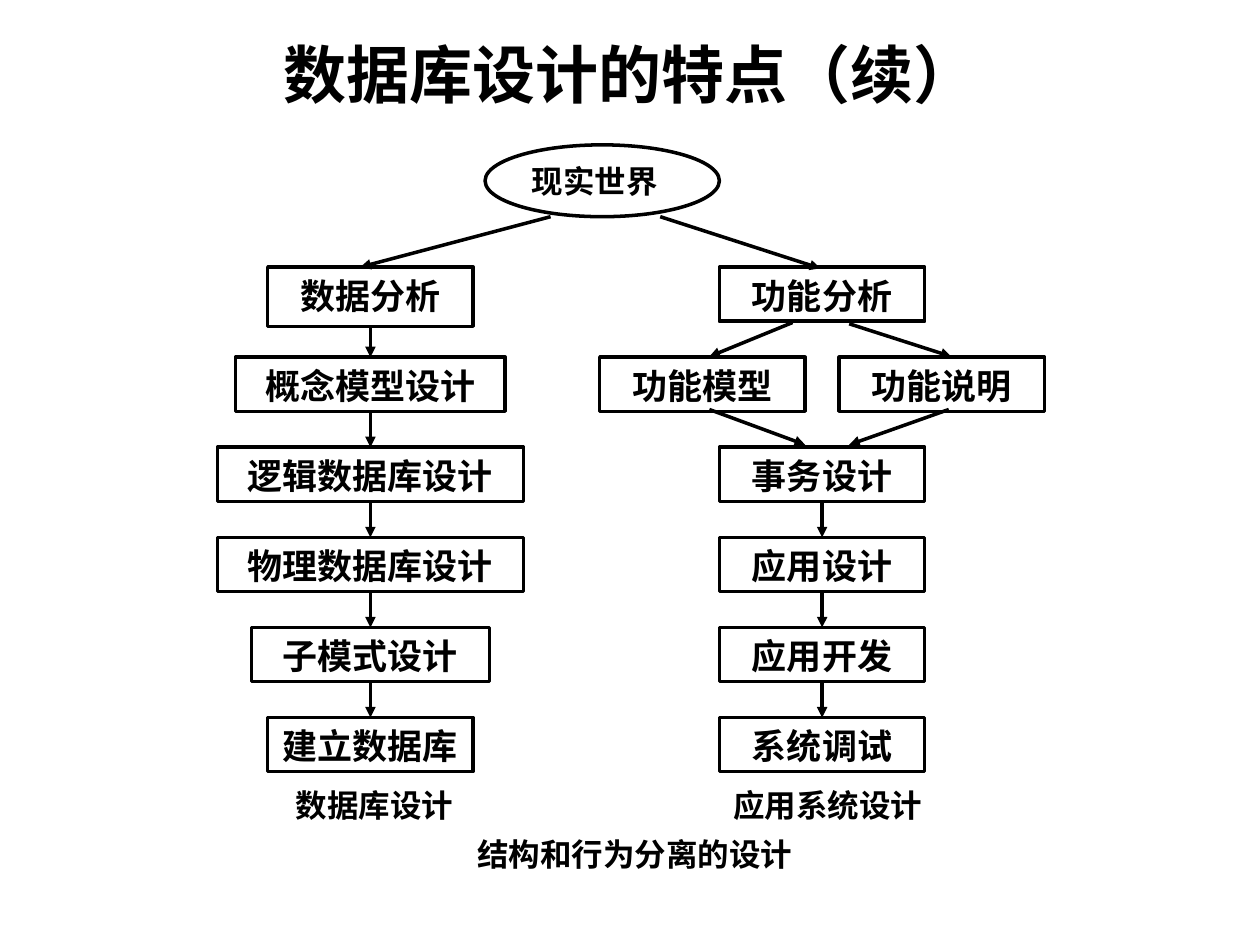
from dataclasses import dataclass
from itertools import pairwise

from lxml import etree
from pptx import Presentation
from pptx import util as u
from pptx.dml.color import RGBColor
from pptx.enum import shapes, text
from pptx.oxml import ns


@dataclass(frozen=True)
class Theme:
    ink: RGBColor = RGBColor(0, 0, 0)
    paper: RGBColor = RGBColor(255, 255, 255)
    sans: str = "Arial"
    serif: str = "Times New Roman"
    title_size: int = 36
    step_size: int = 20
    label_size: int = 18
    stroke: float = 2


@dataclass(frozen=True)
class Step:
    label: str
    axis: float
    row: int
    width: float = 16.3
    height: float = 4.3


@dataclass(frozen=True)
class Caption:
    label: str
    left: float
    top: float
    width: float
    font: str
    anchor: text.MSO_ANCHOR = text.MSO_ANCHOR.TOP


@dataclass(frozen=True)
class Arrow:
    start: tuple[float, float]
    end: tuple[float, float]


THEME = Theme()
COLUMNS, ROWS = 100, 75
CELL = u.Inches(0.1)
FIRST_STEP, STEP_PITCH = 21.2, 7.15
DATA_AXIS, FUNCTION_AXIS, BRANCH = 29.4, 65.25, 9.5

DATA_STEPS = [
    Step("数据分析", DATA_AXIS, 0, height=4.7),
    Step("概念模型设计", DATA_AXIS, 1, width=21.4),
    Step("逻辑数据库设计", DATA_AXIS, 2, width=24.3),
    Step("物理数据库设计", DATA_AXIS, 3, width=24.3),
    Step("子模式设计", DATA_AXIS, 4, width=18.9),
    Step("建立数据库", DATA_AXIS, 5),
]
ANALYSIS = Step("功能分析", FUNCTION_AXIS, 0)
BRANCH_STEPS = [
    Step("功能模型", FUNCTION_AXIS - BRANCH, 1),
    Step("功能说明", FUNCTION_AXIS + BRANCH, 1),
]
APPLICATION_STEPS = [
    Step(label, FUNCTION_AXIS, row)
    for row, label in enumerate(["事务设计", "应用设计", "应用开发", "系统调试"], 2)
]
CAPTIONS = [
    Caption("结构和行为分离的设计", 36.9, 65.8, 27.5, THEME.serif, text.MSO_ANCHOR.MIDDLE),
    Caption("数据库设计", 22.5, 61.9, 14.5, THEME.sans),
    Caption("应用系统设计", 57.2, 61.9, 17, THEME.sans),
]
SLANTED_ARROWS = [
    Arrow((43.7, 17.2), (28.6, 21.2)),
    Arrow((52.4, 17.2), (65.1, 21.3)),
    Arrow((62.9, 25.6), (56.3, 28.3)),
    Arrow((67.4, 25.7), (75.5, 28.3)),
    Arrow((56.3, 32.5), (63.9, 35.3)),
    Arrow((75.3, 32.5), (67.4, 35.3)),
]


def cells(*counts: float) -> list[int]:
    return [round(count * CELL) for count in counts]


def write(box, words: str, *, font: str, size: float, align=text.PP_ALIGN.LEFT,
          anchor=text.MSO_ANCHOR.MIDDLE, inset_top: float = 0.05,
          spacing: float = 1.0, wrap: bool = True,
          fit=text.MSO_AUTO_SIZE.NONE) -> None:
    frame = box.text_frame
    frame.word_wrap = wrap
    frame.auto_size = fit
    frame.vertical_anchor = anchor
    frame.margin_top = u.Inches(inset_top)
    para = frame.paragraphs[0]
    para.alignment = align
    para.line_spacing = spacing
    span = para.add_run()
    span.text = words
    span.font.name = font
    span.font.size = u.Pt(size)
    span.font.bold = True
    span.font.color.rgb = THEME.ink


def draw_outline(page, kind, left: float, top: float, width: float, height: float):
    box = page.shapes.add_shape(kind, *cells(left, top, width, height))
    box.shadow.inherit = False
    box.fill.solid()
    box.fill.fore_color.rgb = THEME.paper
    box.line.color.rgb = THEME.ink
    box.line.width = u.Pt(THEME.stroke)
    return box


def draw_step(page, step: Step):
    box = draw_outline(page, shapes.MSO_SHAPE.RECTANGLE, step.axis - step.width / 2,
                       FIRST_STEP + step.row * STEP_PITCH, step.width, step.height)
    write(box, step.label, font=THEME.serif, size=THEME.step_size,
          align=text.PP_ALIGN.CENTER, anchor=text.MSO_ANCHOR.TOP,
          inset_top=0.12, spacing=0.8)
    return box


def draw_arrow(page, arrow: Arrow):
    line = page.shapes.add_connector(shapes.MSO_CONNECTOR.STRAIGHT,
                                     *cells(*arrow.start, *arrow.end))
    line.line.color.rgb = THEME.ink
    line.line.width = u.Pt(THEME.stroke)
    etree.SubElement(line.line._get_or_add_ln(), ns.qn("a:tailEnd"), type="triangle")
    etree.SubElement(line._element.spPr, ns.qn("a:effectLst"))
    return line


def draw_chain(page, steps: list[Step]) -> None:
    boxes = [draw_step(page, step) for step in steps]
    for upper, lower in pairwise(boxes):
        line = draw_arrow(page, Arrow((0, 0), (1, 1)))
        line.begin_connect(upper, 2)
        line.end_connect(lower, 0)


def draw_caption(page, caption: Caption) -> None:
    box = page.shapes.add_textbox(*cells(caption.left, caption.top, caption.width, 4))
    write(box, caption.label, font=caption.font, size=THEME.label_size,
          anchor=caption.anchor, wrap=False, fit=text.MSO_AUTO_SIZE.SHAPE_TO_FIT_TEXT)


def main() -> None:
    deck = Presentation()
    deck.slide_width, deck.slide_height = cells(COLUMNS, ROWS)
    page = deck.slides.add_slide(deck.slide_layouts[5])

    title = page.shapes.title
    title.left, title.top, title.width, title.height = cells(5, -0.4, 90, 12.4)
    write(title, "数据库设计的特点（续）", font=THEME.sans, size=THEME.title_size,
          align=text.PP_ALIGN.CENTER)

    world = draw_outline(page, shapes.MSO_SHAPE.OVAL, 38.5, 11.5, 18.6, 5.7)
    write(world, "现实世界", font=THEME.sans, size=THEME.label_size)

    draw_chain(page, DATA_STEPS)
    for step in [ANALYSIS, *BRANCH_STEPS]:
        draw_step(page, step)
    draw_chain(page, APPLICATION_STEPS)
    for arrow in SLANTED_ARROWS:
        draw_arrow(page, arrow)
    for caption in CAPTIONS:
        draw_caption(page, caption)

    deck.save("out.pptx")


if __name__ == "__main__":
    main()
